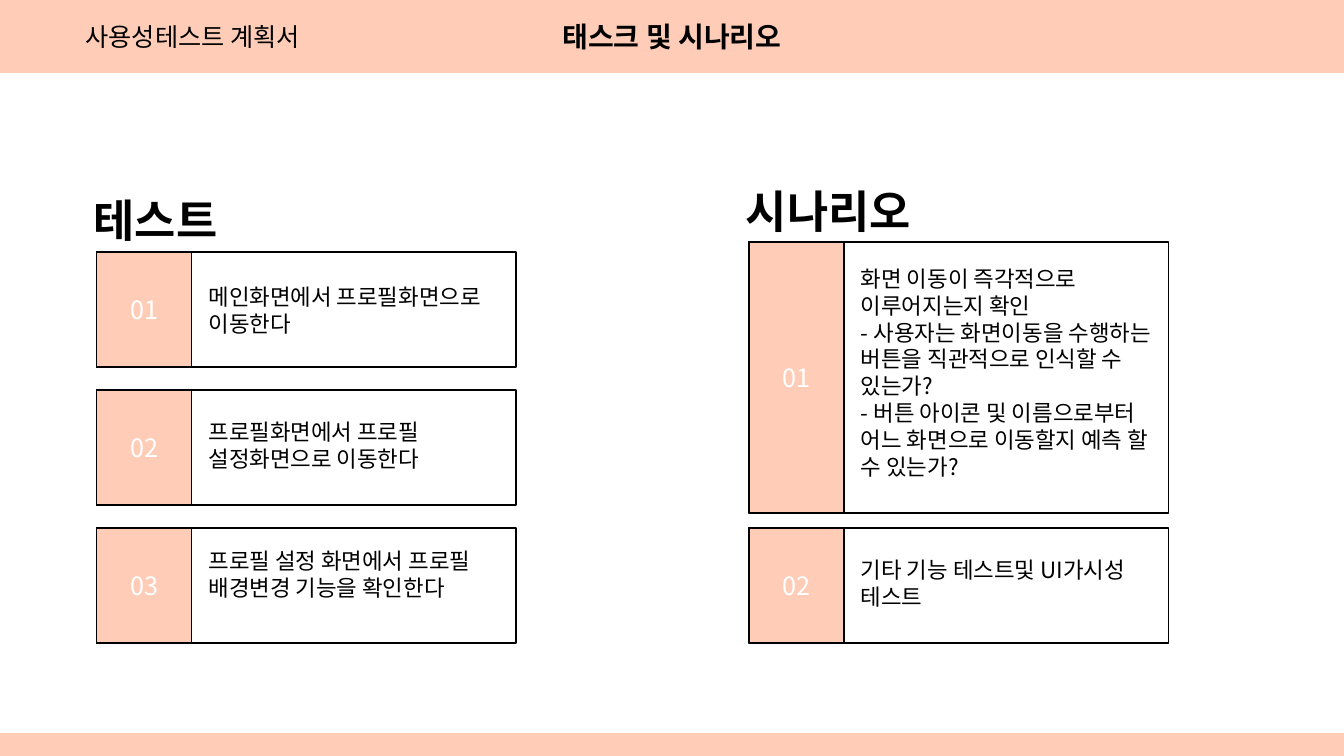
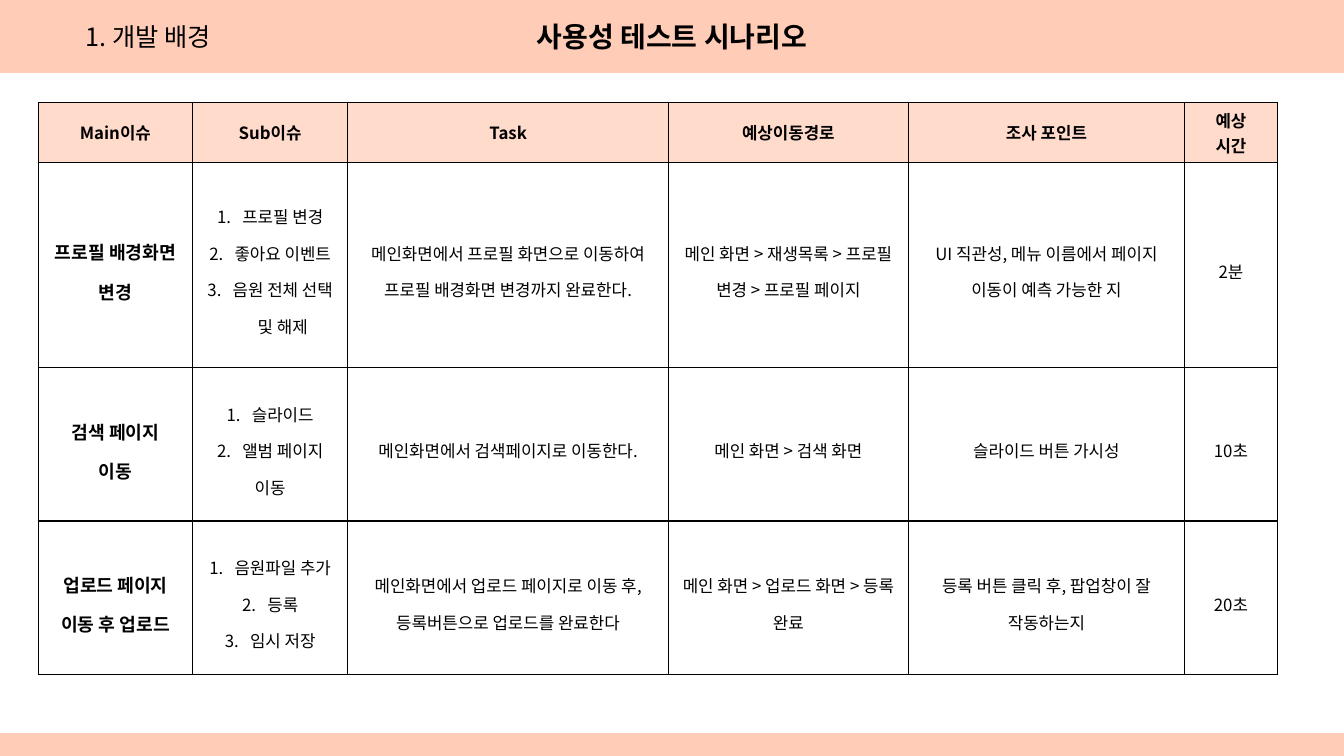
from dataclasses import dataclass

import lxml.etree
import pptx
import pptx.dml.color
import pptx.enum.shapes
import pptx.enum.text
import pptx.oxml.ns
import pptx.util

Inches = pptx.util.Inches
Pt = pptx.util.Pt
qn = pptx.oxml.ns.qn
Align = pptx.enum.text.PP_ALIGN
Anchor = pptx.enum.text.MSO_ANCHOR


@dataclass(frozen=True)
class Theme:
    font: str = "Noto Sans CJK KR"
    ink: str = "000000"
    paper: str = "FFFFFF"
    peach: str = "FFCCB7"
    header_fill: str = "FFDBCC"
    heading_size: int = 32
    title_size: int = 20
    label_size: int = 18
    body_size: int = 16
    issue_size: int = 13
    cell_size: int = 12
    line_width: int = 1
    cell_spacing: float = 1.5


@dataclass(frozen=True)
class Numbered:
    text: str


THEME = Theme()
SLIDE_WIDTH, SLIDE_HEIGHT = 13.33, 7.5
TITLE_BAND_HEIGHT, FOOTER_HEIGHT = 0.72, 0.22
CARD_WIDTH, NUMBER_WIDTH, CARD_HEIGHT = 4.16, 0.94, 1.14
TEXT_OFFSET, TEXT_WIDTH = 1.01, 3.09
TEST_LEFT, SCENARIO_LEFT = 0.96, 7.43
FIRST_CARD_TOP, CARD_STEP = 2.5, 1.37
LAST_CARD_TOP = FIRST_CARD_TOP + 2 * CARD_STEP

TABLE_LEFT, TABLE_TOP = 0.38, 1.02
COLUMN_WIDTHS = [1.53, 1.54, 3.18, 2.38, 2.74, 0.92]
ROW_HEIGHTS = [0.59, 2.04, 1.52, 1.52]

TEST_CARDS = [
    ("메인화면에서 프로필화면으로 이동한다", 2.76),
    ("프로필화면에서 프로필 설정화면으로 이동한다", 4.1),
    ("프로필 설정 화면에서 프로필 배경변경 기능을 확인한다", 5.38),
]
MOVE_CHECKS = [
    "화면 이동이 즉각적으로 이루어지는지 확인",
    "- 사용자는 화면이동을 수행하는 버튼을 직관적으로 인식할 수 있는가?",
    "- 버튼 아이콘 및 이름으로부터 어느 화면으로 이동할지 예측 할 수 있는가?",
]
SCENARIO_ROWS = [
    [["Main이슈"], ["Sub이슈"], ["Task"], ["예상이동경로"], ["조사 포인트"], ["예상", "시간"]],
    [
        ["프로필 배경화면 변경"],
        [Numbered("프로필 변경"), Numbered("좋아요 이벤트"), Numbered("음원 전체 선택 및 해제")],
        ["메인화면에서 프로필 화면으로 이동하여 프로필 배경화면 변경까지 완료한다."],
        ["메인 화면 > 재생목록 > 프로필 변경 > 프로필 페이지"],
        ["UI 직관성, 메뉴 이름에서 페이지 이동이 예측 가능한 지"],
        ["2분"],
    ],
    [
        ["검색 페이지", "이동"],
        [Numbered("슬라이드"), Numbered("앨범 페이지"), "이동"],
        ["메인화면에서 검색페이지로 이동한다."],
        ["메인 화면 > 검색 화면"],
        ["슬라이드 버튼 가시성"],
        ["10초"],
    ],
    [
        ["업로드 페이지 이동 후 업로드"],
        [Numbered("음원파일 추가"), Numbered("등록"), Numbered("임시 저장")],
        ["메인화면에서 업로드 페이지로 이동 후, 등록버튼으로 업로드를 완료한다"],
        ["메인 화면 > 업로드 화면 > 등록 완료"],
        ["등록 버튼 클릭 후, 팝업창이 잘 작동하는지"],
        ["20초"],
    ],
]


def rgb(color):
    return pptx.dml.color.RGBColor.from_string(color)


def number_paragraph(para):
    properties = para._p.get_or_add_pPr()
    properties.set("marL", str(Inches(0.25)))
    properties.set("indent", str(Inches(-0.25)))
    lxml.etree.SubElement(properties, qn("a:buAutoNum"), type="arabicPeriod")


def write_lines(frame, lines, size, color=THEME.ink, bold=False, align=Align.LEFT, spacing=None):
    """Fill a text frame with one paragraph for each line."""
    for index, line in enumerate(lines):
        para = frame.add_paragraph() if index else frame.paragraphs[0]
        if isinstance(line, Numbered):
            number_paragraph(para)
            line = line.text
        para.text = line
        para.alignment = align
        if spacing:
            para.line_spacing = spacing
        for span in para.runs:
            span.font.name = THEME.font
            span.font.size = Pt(size)
            span.font.bold = bold
            span.font.color.rgb = rgb(color)
            east_asian = lxml.etree.Element(qn("a:ea"), typeface=THEME.font)
            span.font._rPr.find(qn("a:latin")).addnext(east_asian)


def add_box(shapes, left, top, width, height, fill, line):
    box = shapes.add_shape(
        pptx.enum.shapes.MSO_SHAPE.RECTANGLE,
        Inches(left), Inches(top), Inches(width), Inches(height),
    )
    box.shadow.inherit = False
    box.fill.solid()
    box.fill.fore_color.rgb = rgb(fill)
    box.line.color.rgb = rgb(line)
    box.line.width = Pt(THEME.line_width)
    box.text_frame.vertical_anchor = Anchor.MIDDLE
    return box


def add_text(page, left, top, width, height, lines, size, bold=False, wrap=True):
    box = page.shapes.add_textbox(Inches(left), Inches(top), Inches(width), Inches(height))
    box.text_frame.word_wrap = wrap
    write_lines(box.text_frame, lines, size, bold=bold)


def add_page(deck, title, section, section_width):
    """Add a blank slide with the title band, section label and footer band."""
    page = deck.slides.add_slide(deck.slide_layouts[6])
    band = add_box(page.shapes, 0, 0, SLIDE_WIDTH, TITLE_BAND_HEIGHT, THEME.peach, THEME.peach)
    write_lines(band.text_frame, [title], THEME.title_size, bold=True, align=Align.CENTER)
    add_box(page.shapes, 0, SLIDE_HEIGHT - FOOTER_HEIGHT, SLIDE_WIDTH, FOOTER_HEIGHT,
            THEME.peach, THEME.peach)
    add_text(page, 0.75, 0.16, section_width, 0.4, [section], THEME.label_size, wrap=False)
    return page


def add_heading(page, left, top, width, text):
    add_text(page, left, top, width, 0.64, [text], THEME.heading_size, bold=True, wrap=False)


def add_card(page, left, top, height, number, lines, text_top):
    """Add a framed card with a numbered tab on its left."""
    card = page.shapes.add_group_shape()
    add_box(card.shapes, left, top, CARD_WIDTH, height, THEME.paper, THEME.ink)
    tab = add_box(card.shapes, left, top, NUMBER_WIDTH, height, THEME.peach, THEME.ink)
    write_lines(tab.text_frame, [f"{number:02d}"], THEME.label_size, THEME.paper,
                align=Align.CENTER)
    add_text(page, left + TEXT_OFFSET, text_top, TEXT_WIDTH, top + height - text_top,
             lines, THEME.body_size)


def style_cell(cell, fill):
    properties = cell._tc.get_or_add_tcPr()
    for side in ("a:lnL", "a:lnR", "a:lnT", "a:lnB"):
        border = lxml.etree.SubElement(properties, qn(side), w=str(Pt(THEME.line_width)))
        paint = lxml.etree.SubElement(border, qn("a:solidFill"))
        lxml.etree.SubElement(paint, qn("a:srgbClr"), val=THEME.ink)
    cell.fill.solid()
    cell.fill.fore_color.rgb = rgb(fill)
    cell.vertical_anchor = Anchor.MIDDLE


def add_scenario_table(page):
    table = page.shapes.add_table(
        len(ROW_HEIGHTS), len(COLUMN_WIDTHS), Inches(TABLE_LEFT), Inches(TABLE_TOP),
        Inches(sum(COLUMN_WIDTHS)), Inches(sum(ROW_HEIGHTS)),
    ).table
    table.horz_banding = False
    for column, width in zip(table.columns, COLUMN_WIDTHS):
        column.width = Inches(width)
    for row, height in zip(table.rows, ROW_HEIGHTS):
        row.height = Inches(height)
    for row_index, row_lines in enumerate(SCENARIO_ROWS):
        is_header = row_index == 0
        for column_index, lines in enumerate(row_lines):
            is_issue = column_index == 0 and not is_header
            cell = table.cell(row_index, column_index)
            style_cell(cell, THEME.header_fill if is_header else THEME.paper)
            write_lines(
                cell.text_frame, lines,
                THEME.issue_size if is_issue else THEME.cell_size,
                bold=is_header or is_issue, align=Align.CENTER,
                spacing=None if is_header else THEME.cell_spacing,
            )


def add_task_page(deck):
    page = add_page(deck, "태스크 및 시나리오", "사용성테스트 계획서", 2.56)
    add_heading(page, 0.83, 1.86, 1.55, "테스트")
    for index, (text, text_top) in enumerate(TEST_CARDS):
        add_card(page, TEST_LEFT, FIRST_CARD_TOP + index * CARD_STEP, CARD_HEIGHT,
                 index + 1, [text], text_top)
    add_heading(page, 7.3, 1.77, 2, "시나리오")
    add_card(page, SCENARIO_LEFT, 2.4, 2.69, 1, MOVE_CHECKS, 2.58)
    add_card(page, SCENARIO_LEFT, LAST_CARD_TOP, CARD_HEIGHT, 2,
             ["기타 기능 테스트및 UI가시성 테스트"], 5.47)


def add_scenario_page(deck):
    page = add_page(deck, "사용성 테스트 시나리오", "1. 개발 배경", 1.59)
    add_scenario_table(page)


def main():
    deck = pptx.Presentation()
    deck.slide_width = Inches(SLIDE_WIDTH)
    deck.slide_height = Inches(SLIDE_HEIGHT)
    add_task_page(deck)
    add_scenario_page(deck)
    deck.save("out.pptx")


if __name__ == "__main__":
    main()
